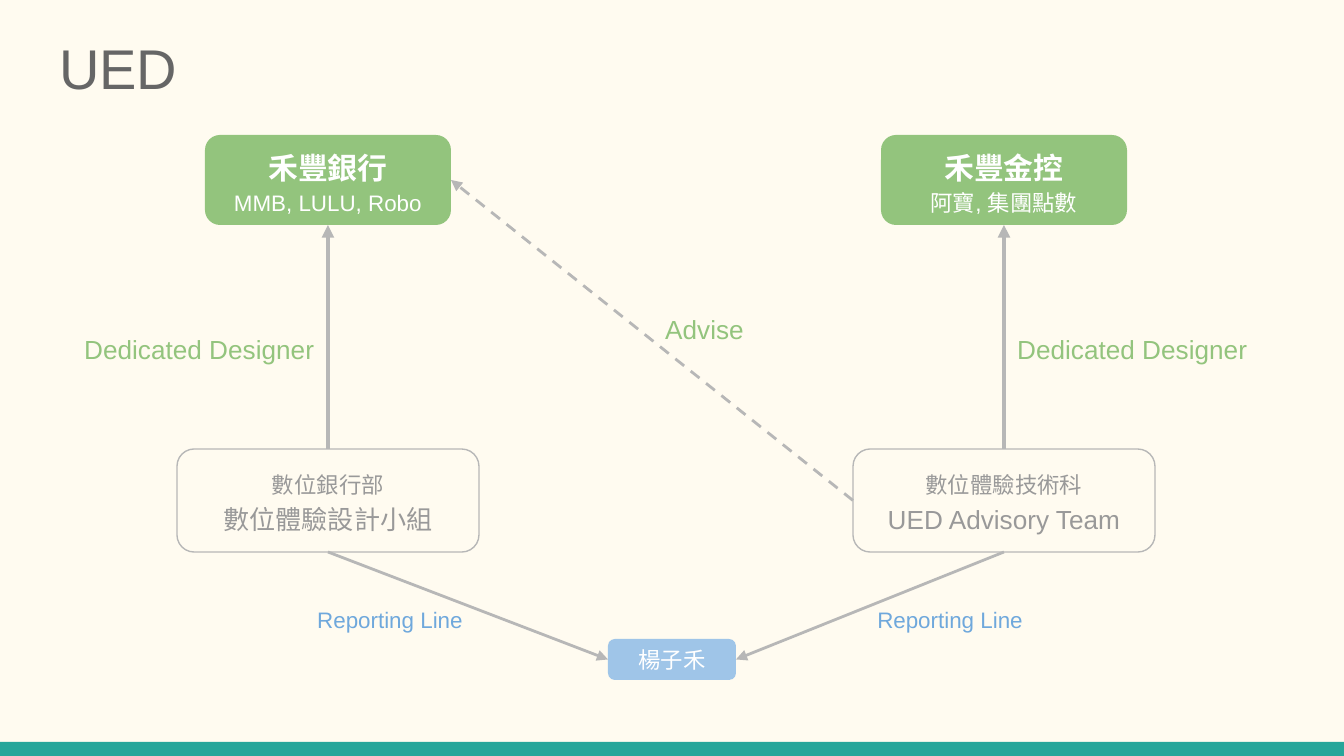
from lxml.etree import SubElement
from pptx import Presentation
from pptx.dml.color import RGBColor
from pptx.enum.dml import MSO_LINE
from pptx.enum.shapes import MSO_CONNECTOR as Connector, MSO_SHAPE as Shape
from pptx.enum.text import MSO_ANCHOR as Anchor, PP_ALIGN as Align
from pptx.oxml.ns import qn
from pptx.util import Inches, Pt

WIDTH, HEIGHT = 1344, 756
SCALE = Inches(10) / WIDTH
COLORS = {
    "background": "FFFBF0", "bar": "26A69A", "title": "666666", "white": "FFFFFF",
    "green": "93C47D", "blue": "9FC5E8", "link": "6FA8DC", "gray": "999999", "line": "B7B7B7",
}
LEFT, MIDDLE, RIGHT = 328, WIDTH // 2, 1004
TOP, SITE_LEFT, BOTTOM, SITE_RIGHT = range(4)

STYLES = {
    "company": {"top": 135, "size": (246, 90), "fill": "green", "color": "white",
                "anchor": Anchor.MIDDLE, "spacing": 1.15, "fonts": [(16, True), (12, False)]},
    "team": {"top": 449, "size": (302, 103), "fill": None, "color": "gray",
             "anchor": Anchor.TOP, "spacing": 1.15, "fonts": [(12, False), (14, False)]},
    "person": {"top": 639, "size": (128, 41), "fill": "blue", "color": "white",
               "anchor": Anchor.MIDDLE, "spacing": 1, "fonts": [(12, False)]},
}
BOXES = [
    ("bank", "company", LEFT, ["禾豐銀行", "MMB, LULU, Robo"]),
    ("design", "team", LEFT, ["數位銀行部", "數位體驗設計小組"]),
    ("advisory", "team", RIGHT, ["數位體驗技術科", "UED Advisory Team"]),
    ("holding", "company", RIGHT, ["禾豐金控", "阿寶, 集團點數"]),
    ("lead", "person", MIDDLE, ["楊子禾"]),
]
ARROWS = [
    ("design", TOP, "bank", BOTTOM, 2.25, None),
    ("advisory", TOP, "holding", BOTTOM, 2.25, None),
    ("advisory", SITE_LEFT, "bank", SITE_RIGHT, 1.5, MSO_LINE.DASH),
    ("design", BOTTOM, "lead", SITE_LEFT, 1.5, None),
    ("advisory", BOTTOM, "lead", SITE_RIGHT, 1.5, None),
]
LABELS = [
    ("UED", 46, 20, 1252, 90, 30, "title"),
    ("Dedicated Designer", 71, 320, 267, 59, 14, "green"),
    ("Dedicated Designer", 1004, 320, 267, 59, 14, "green"),
    ("Advise", 652, 300, 128, 59, 14, "green"),
    ("Reporting Line", 304, 593, 188, 59, 12, "link"),
    ("Reporting Line", 864, 593, 188, 59, 12, "link"),
]


def px(*lengths):
    return [round(length * SCALE) for length in lengths]


def rgb(name):
    return RGBColor.from_string(COLORS[name])


def set_all(target, values):
    for name, value in values.items():
        setattr(target, name, value)


def write(shape, lines, fonts, color, align, anchor, spacing=1):
    frame = shape.text_frame
    margins = dict.fromkeys(("margin_left", "margin_top", "margin_right", "margin_bottom"), Inches(0.1))
    set_all(frame, {"word_wrap": True, "vertical_anchor": anchor, **margins})
    for index, (line, (size, bold)) in enumerate(zip(lines, fonts)):
        paragraph = frame.add_paragraph() if index else frame.paragraphs[0]
        set_all(paragraph, {"alignment": align, "line_spacing": spacing})
        run = paragraph.add_run()
        run.text = line
        set_all(run.font, {"name": "Arial", "size": Pt(size), "bold": bold})
        run.font.color.rgb = rgb(color)


def add_shape(slide, kind, fill, *bounds):
    shape = slide.shapes.add_shape(kind, *px(*bounds))
    shape.shadow.inherit = False
    if fill:
        shape.fill.solid()
        shape.fill.fore_color.rgb = rgb(fill)
        shape.line.fill.background()
    else:
        shape.fill.background()
        shape.line.color.rgb = rgb("line")
        shape.line.width = Pt(0.75)
    return shape


def add_box(slide, style, center, lines):
    width, height = style["size"]
    shape = add_shape(slide, Shape.ROUNDED_RECTANGLE, style["fill"],
                      center - width / 2, style["top"], width, height)
    write(shape, lines, style["fonts"], style["color"], Align.CENTER, style["anchor"], style["spacing"])
    return shape


def add_arrow(slide, start, start_site, end, end_site, weight, dash):
    arrow = slide.shapes.add_connector(Connector.STRAIGHT, 0, 0, 0, 0)
    arrow.begin_connect(start, start_site)
    arrow.end_connect(end, end_site)
    arrow.line.color.rgb = rgb("line")
    set_all(arrow.line, {"width": Pt(weight), "dash_style": dash})
    properties = arrow._element.spPr
    SubElement(properties.find(qn("a:ln")), qn("a:tailEnd"), type="triangle")
    SubElement(properties, qn("a:effectLst"))


def main():
    presentation = Presentation()
    presentation.slide_width, presentation.slide_height = px(WIDTH, HEIGHT)
    slide = presentation.slides.add_slide(presentation.slide_layouts[6])
    slide.background.fill.solid()
    slide.background.fill.fore_color.rgb = rgb("background")
    add_shape(slide, Shape.RECTANGLE, "bar", 0, 742, WIDTH, HEIGHT - 742)

    boxes = {name: add_box(slide, STYLES[style], center, lines) for name, style, center, lines in BOXES}
    for start, start_site, end, end_site, weight, dash in ARROWS:
        add_arrow(slide, boxes[start], start_site, boxes[end], end_site, weight, dash)
    for text, left, top, width, height, size, color in LABELS:
        label = slide.shapes.add_textbox(*px(left, top, width, height))
        write(label, [text], [(size, False)], color, Align.LEFT, Anchor.TOP)
    presentation.save("out.pptx")


if __name__ == "__main__":
    main()
